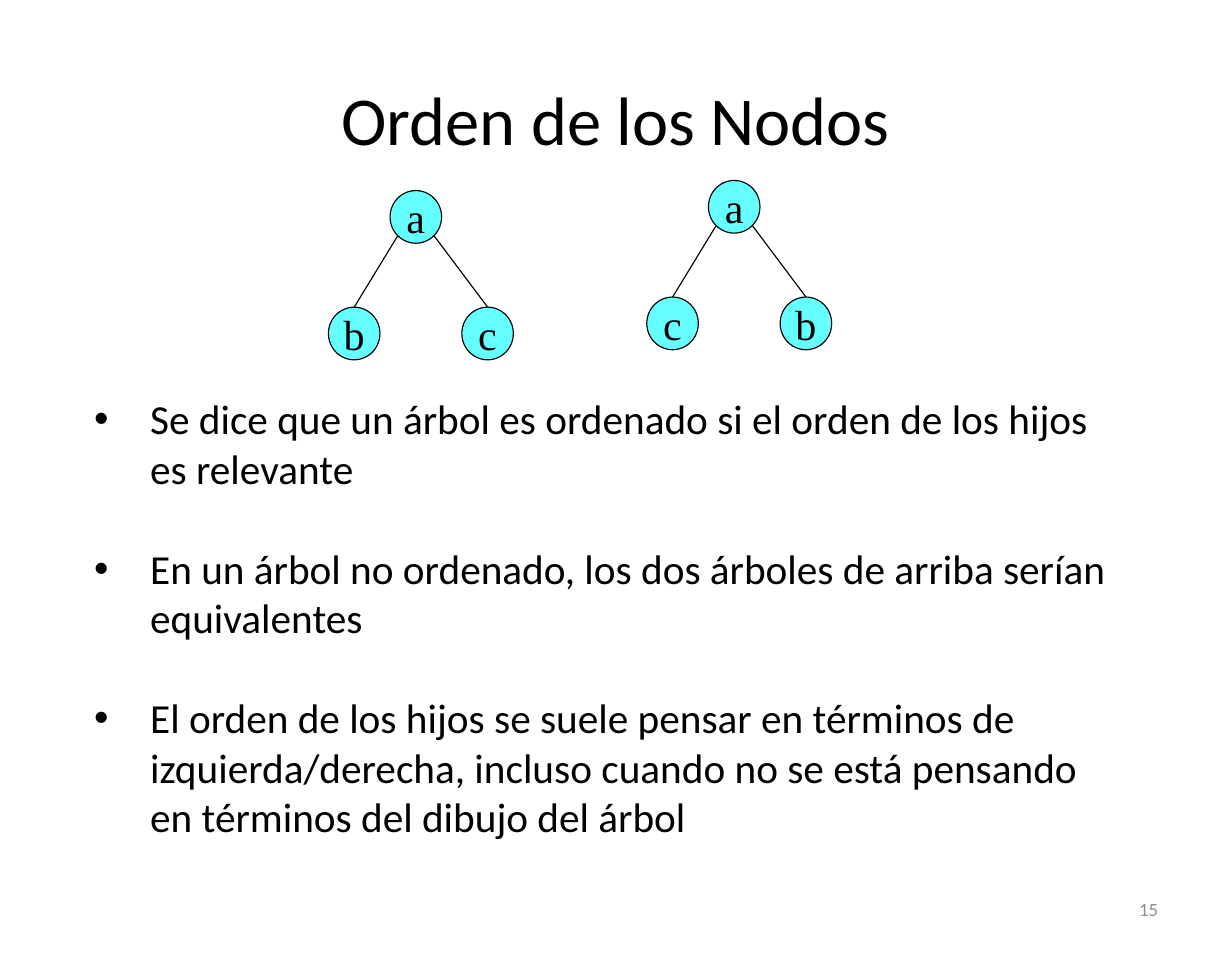
"""Build the slide that compares two trees by the order of their nodes."""
from dataclasses import dataclass

from lxml.etree import SubElement
from pptx import Presentation
from pptx.dml.color import RGBColor
from pptx.enum.shapes import MSO_CONNECTOR, MSO_SHAPE
from pptx.enum.text import MSO_ANCHOR, PP_ALIGN
from pptx.oxml.ns import qn
from pptx.util import Inches, Pt


@dataclass(frozen=True)
class Theme:
    black: RGBColor = RGBColor(0, 0, 0)
    gray: RGBColor = RGBColor(0x8C, 0x8C, 0x8C)
    cyan: RGBColor = RGBColor(0x66, 0xFF, 0xFF)
    text_font: str = "Calibri"
    node_font: str = "Times New Roman"
    title_size: float = 44
    body_size: float = 26.5
    node_size: float = 27
    number_size: float = 12
    line_width: float = 0.75


theme = Theme()


def add_run(paragraph, text, font, size, color):
    run = paragraph.add_run()
    run.text = text
    run.font.name = font
    run.font.size = Pt(size)
    run.font.color.rgb = color


def add_text_frame(left, top, width, height, anchor):
    box = slide.shapes.add_textbox(Inches(left), Inches(top), Inches(width), Inches(height))
    frame = box.text_frame
    frame.word_wrap = True
    frame.vertical_anchor = anchor
    return frame


presentation = Presentation()
presentation.slide_width = Inches(10.99)
presentation.slide_height = Inches(8.51)
slide = presentation.slides.add_slide(presentation.slide_layouts[6])

title = add_text_frame(0.55, 0.34, 9.89, 1.42, MSO_ANCHOR.MIDDLE).paragraphs[0]
title.alignment = PP_ALIGN.CENTER
add_run(title, "Orden de los Nodos", theme.text_font, theme.title_size, theme.black)

statements = [
    "Se dice que un árbol es ordenado si el orden de los hijos es relevante",
    "En un árbol no ordenado, los dos árboles de arriba serían equivalentes",
    "El orden de los hijos se suele pensar en términos de izquierda/derecha, "
    "incluso cuando no se está pensando en términos del dibujo del árbol",
]
body = add_text_frame(0.73, 3.45, 9.43, 4.19, MSO_ANCHOR.TOP)
body.margin_left = body.margin_right = Inches(0.11)
body.margin_top = body.margin_bottom = Inches(0.06)
for index, statement in enumerate(statements):
    paragraph = body.add_paragraph() if index else body.paragraphs[0]
    paragraph.space_before = Pt(32.4 if index else 0)
    properties = paragraph._p.get_or_add_pPr()
    properties.set("marL", str(Inches(0.5)))
    properties.set("indent", str(Inches(-0.5)))
    SubElement(properties, qn("a:buFont")).set("typeface", "Arial")
    SubElement(properties, qn("a:buChar")).set("char", "•")
    add_run(paragraph, statement, theme.text_font, theme.body_size, theme.black)

node_width, node_height = 0.46, 0.47
node_offsets = [(0.55, 0), (0, 1.04), (1.19, 1.04)]
edge_offsets = [(0.62, 0.23), (0.94, 1.42)]
trees = [(2.93, 1.7, "abc"), (5.77, 1.61, "acb")]
for tree_left, tree_top, labels in trees:
    tree = slide.shapes.add_group_shape()
    for label, (across, down) in zip(labels, node_offsets):
        node = tree.shapes.add_shape(
            MSO_SHAPE.OVAL, Inches(tree_left + across), Inches(tree_top + down),
            Inches(node_width), Inches(node_height))
        node.shadow.inherit = False
        node.fill.solid()
        node.fill.fore_color.rgb = theme.cyan
        node.line.color.rgb = theme.black
        node.line.width = Pt(theme.line_width)
        node.text_frame.word_wrap = False
        node.text_frame.vertical_anchor = MSO_ANCHOR.MIDDLE
        paragraph = node.text_frame.paragraphs[0]
        paragraph.alignment = PP_ALIGN.CENTER
        add_run(paragraph, label, theme.node_font, theme.node_size, theme.black)
    for start, end in edge_offsets:
        edge = tree.shapes.add_connector(
            MSO_CONNECTOR.STRAIGHT, Inches(tree_left + start), Inches(tree_top + 0.4),
            Inches(tree_left + end), Inches(tree_top + 1.04))
        edge.line.color.rgb = theme.black
        edge.line.width = Pt(theme.line_width)
        SubElement(edge._element.spPr, qn("a:effectLst"))

number = add_text_frame(7.87, 7.88, 2.56, 0.45, MSO_ANCHOR.MIDDLE).paragraphs[0]
number.alignment = PP_ALIGN.RIGHT
add_run(number, "15", theme.text_font, theme.number_size, theme.gray)

presentation.save("out.pptx")
